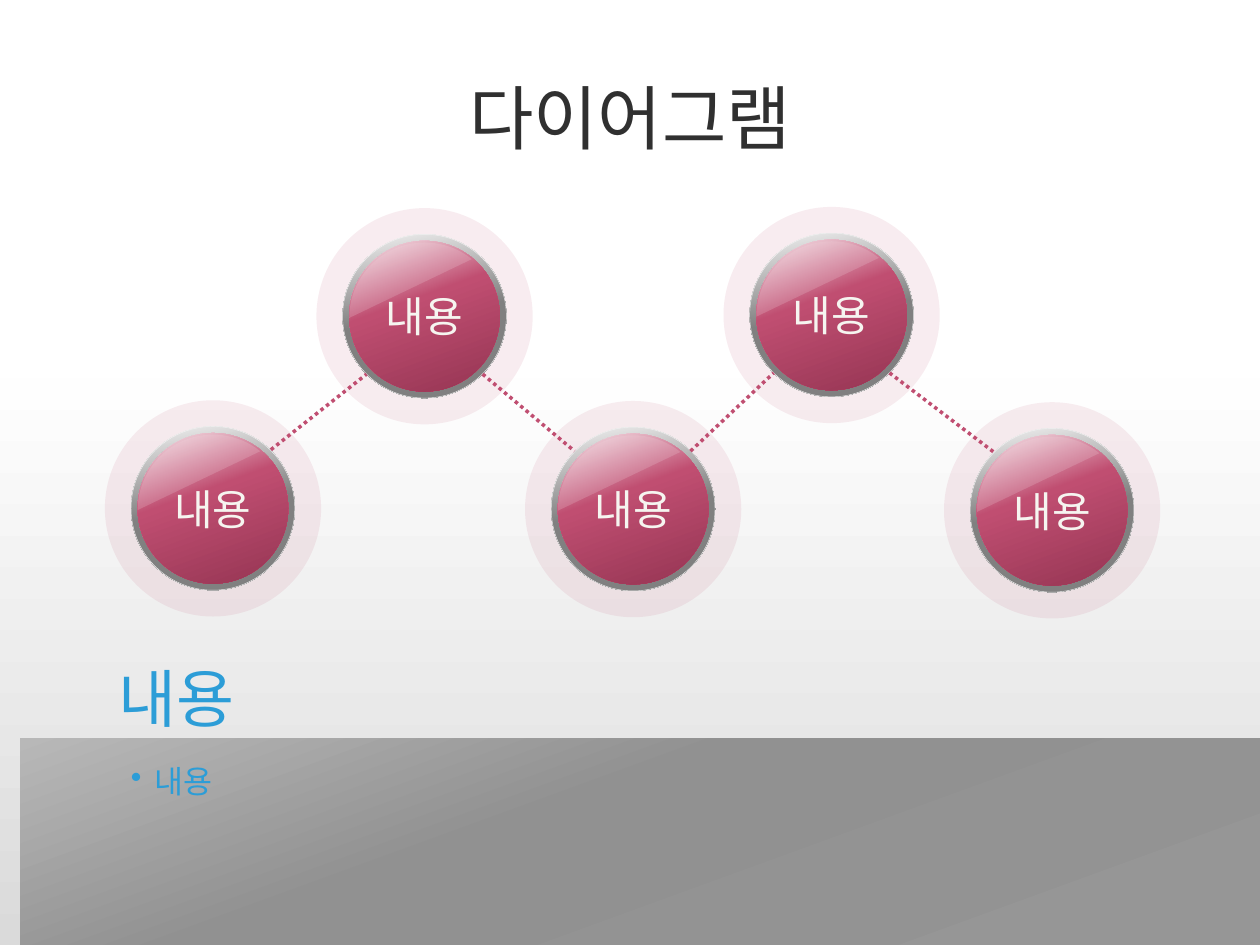
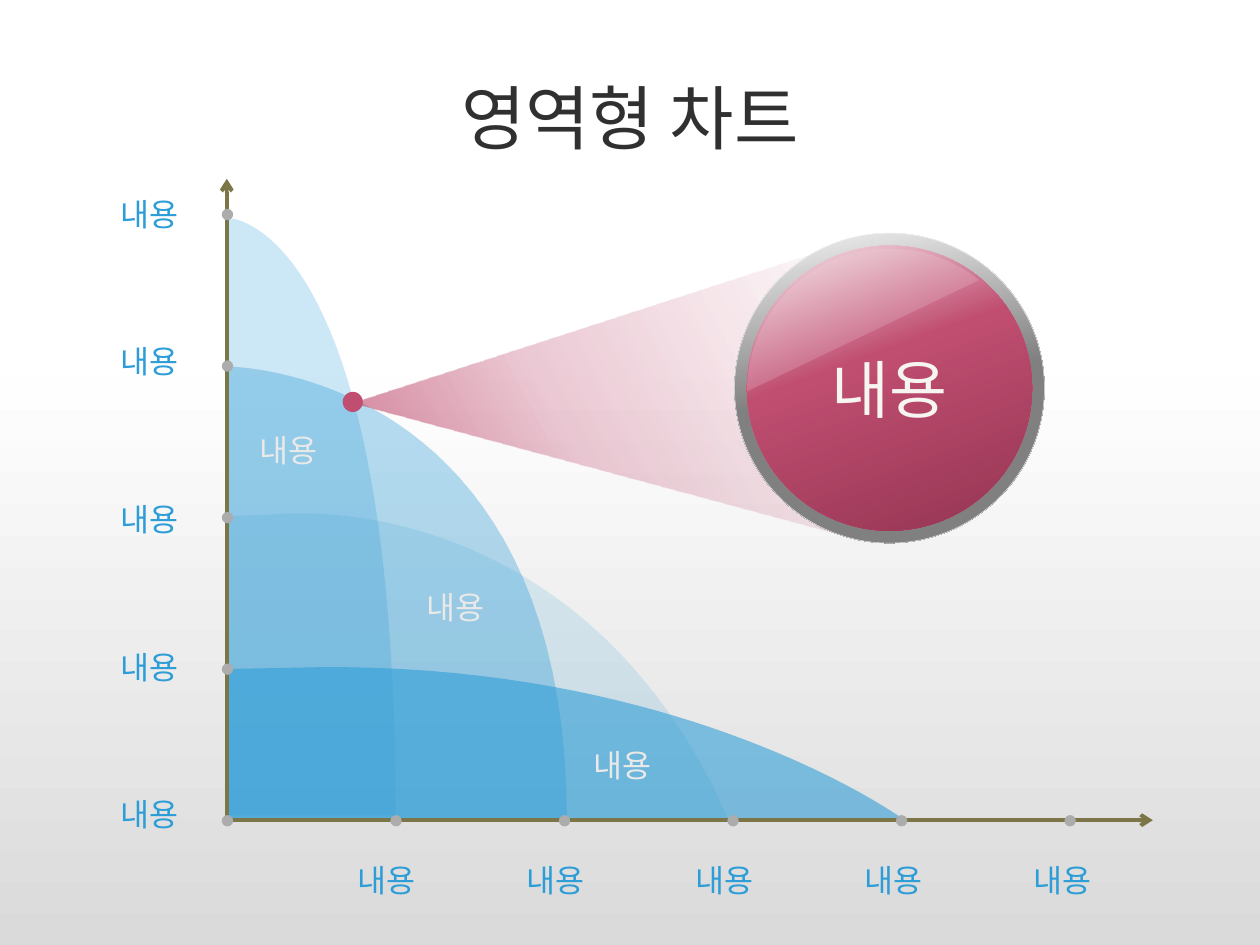
"""Build a linked-button diagram slide and a layered area chart slide."""
from dataclasses import dataclass

from lxml.etree import SubElement
from pptx import Presentation
from pptx.dml.color import RGBColor
from pptx.enum.dml import MSO_LINE
from pptx.enum.shapes import MSO_CONNECTOR, MSO_SHAPE
from pptx.enum.text import MSO_ANCHOR, PP_ALIGN
from pptx.oxml.ns import qn
from pptx.util import Pt


@dataclass(frozen=True)
class Theme:
    font: str = "Arial"
    title_size: int = 40
    heading_size: int = 36
    button_size: int = 24
    label_size: int = 18
    title: str = "303030"
    blue: str = "2C9DD7"
    rose: str = "C04E71"
    button_text: str = "F6F5F0"
    area_text: str = "E9E9E9"
    axis: str = "7B7548"
    dot: str = "ACACAC"
    rim_edge: str = "F2F2F2"
    gloss: str = "F2DCE3"
    backdrop: tuple = ((0, "FFFFFF", 100), (40, "FEFEFE", 100), (100, "DADADA", 100))
    panel: tuple = ((0, "B8B8B8", 100), (40, "919191", 100), (100, "969696", 100))
    rim: tuple = ((0, "F2F2F2", 100), (50, "808080", 100), (100, "808080", 100))
    face: tuple = ((0, "F9EDF1", 100), (40, "C04E71", 100), (100, "953553", 100))
    beam: tuple = ((0, "C04E71", 75), (40, "C04E71", 30), (100, "C04E71", 0))


theme = Theme()


def paint(target, fill, *stops, angle=0):
    if len(stops) == 1:
        fill.solid()
        fill.fore_color.rgb = RGBColor.from_string(stops[0][1])
        color = target.element.spPr.find(".//" + qn("a:srgbClr"))
        SubElement(color, qn("a:alpha"), val=str(stops[0][2] * 1000))
    else:
        fill.gradient()
        fill.gradient_angle = 360 - angle
        stop_list = target.element.find(".//" + qn("a:gsLst"))
        for stop in list(stop_list):
            stop_list.remove(stop)
        for position, color, opacity in stops:
            stop = SubElement(stop_list, qn("a:gs"), pos=str(position * 1000))
            color = SubElement(stop, qn("a:srgbClr"), val=color)
            SubElement(color, qn("a:alpha"), val=str(opacity * 1000))
    if hasattr(target, "line"):
        target.line.fill.background()
        target.shadow.inherit = False


def add_text(page, text, left, top, width, height, *, size, color, align=PP_ALIGN.LEFT,
             anchor=MSO_ANCHOR.TOP, wrap=True, inset=None, bullet=False):
    box = page.shapes.add_textbox(Pt(left), Pt(top), Pt(width), Pt(height))
    frame = box.text_frame
    frame.word_wrap = wrap
    frame.vertical_anchor = anchor
    if inset is not None:
        frame.margin_left = frame.margin_right = Pt(inset)
        frame.margin_top = frame.margin_bottom = Pt(inset)
    para = frame.paragraphs[0]
    para.alignment = align
    if bullet:
        properties = para._p.get_or_add_pPr()
        properties.set("marL", str(Pt(13.5)))
        properties.set("indent", str(-Pt(13.5)))
        SubElement(properties, qn("a:buChar"), char="•")
    span = para.add_run()
    span.text = text
    span.font.name = theme.font
    span.font.size = Pt(size)
    span.font.color.rgb = RGBColor.from_string(color)


deck = Presentation()
deck.slide_width, deck.slide_height = Pt(720), Pt(540)
pages = []
for title in ("다이어그램", "영역형 차트"):
    page = deck.slides.add_slide(deck.slide_layouts[6])
    paint(page, page.background.fill, *theme.backdrop, angle=90)
    add_text(page, title, 36, 21.6, 648, 90, size=theme.title_size, color=theme.title,
             align=PP_ALIGN.CENTER, anchor=MSO_ANCHOR.MIDDLE)
    pages.append(page)
diagram, chart = pages

panel = diagram.shapes.add_shape(MSO_SHAPE.RECTANGLE, Pt(11.5), Pt(422), Pt(708.5), Pt(118))
paint(panel, panel.fill, *theme.panel, angle=70)

axis_x, axis_y = 130, 469
areas = [
    (15, 295, (158.4, 293.8), (216, 289.5), (347, 311), (416.2, 468)),
    (35, 209.5, (130.3, 209.5), (130.3, 209.5), (324, 210), (324, 469)),
    (24, 124.6, (130.3, 124.6), (130.3, 124.6), (226.1, 125), (226.1, 466)),
    (58, 382.3, (165.6, 381.6), (389, 374.5), (517, 468.7), (517, 468.7)),
]
for opacity, left_top, *controls in areas:
    outline = [(axis_x, left_top)]
    for step in range(41):
        t = step / 40
        weights = ((1 - t) ** 3, 3 * t * (1 - t) ** 2, 3 * t * t * (1 - t), t ** 3)
        outline.append([sum(w * point[i] for w, point in zip(weights, controls))
                        for i in range(2)])
    builder = chart.shapes.build_freeform(Pt(axis_x), Pt(controls[-1][1]), scale=1.0)
    builder.add_line_segments([(Pt(x), Pt(y)) for x, y in outline])
    area = builder.convert_to_shape()
    paint(area, area.fill, (0, theme.blue, opacity))

builder = chart.shapes.build_freeform(Pt(201.6), Pt(230.4), scale=1.0)
builder.add_line_segments([(Pt(496.8), Pt(134.6)), (Pt(497.5), Pt(310.3))])
beam = builder.convert_to_shape()
paint(beam, beam.fill, *theme.beam, angle=332)

buttons = [
    (diagram, 242.6, 180.7, 93.6, theme.button_size),
    (diagram, 121.7, 290.5, 93.6, theme.button_size),
    (diagram, 475.2, 180, 93.6, theme.button_size),
    (diagram, 361.8, 290.9, 93.6, theme.button_size),
    (diagram, 601.2, 291.6, 93.6, theme.button_size),
    (chart, 508.3, 221.8, 177.1, theme.heading_size),
]
halo = (MSO_SHAPE.OVAL, 1.32, 0, ((0, theme.rose, 10),), 0)
layers = [
    (MSO_SHAPE.OVAL, 1, 0, theme.rim, 80),
    (MSO_SHAPE.OVAL, 0.92, 0, theme.face, 70),
    (MSO_SHAPE.CHORD, 0.92, 0.01, ((0, theme.gloss, 20),), 0),
]
for page, center_x, center_y, diameter, size in buttons:
    for kind, scale, drop, stops, angle in ([halo] if page is diagram else []) + layers:
        side = diameter * scale
        disc = page.shapes.add_shape(kind, Pt(center_x - side / 2),
                                     Pt(center_y - side / 2 + drop * diameter), Pt(side), Pt(side))
        paint(disc, disc.fill, *stops, angle=angle)
        if stops is theme.rim:
            disc.line.color.rgb = RGBColor.from_string(theme.rim_edge)
            disc.line.width = Pt(0.25)
        if kind == MSO_SHAPE.CHORD:
            disc.rotation = 90
            disc.adjustments[0], disc.adjustments[1] = 53.95, 131.3
    add_text(page, "내용", center_x - 42, center_y - 26, 84, 52, size=size,
             color=theme.button_text, align=PP_ALIGN.CENTER, anchor=MSO_ANCHOR.MIDDLE, wrap=False)

lines = [
    (diagram, 154.8, 257, 209.5, 213.8),
    (diagram, 275.8, 213.8, 328.3, 257.8),
    (diagram, 394.6, 257.8, 442.1, 213.1),
    (diagram, 508.3, 213.1, 568.1, 258.5),
    (chart, 129.6, 102.2, 129.6, 469.4),
    (chart, 658.8, 468.7, 131, 468.7),
]
for page, *ends in lines:
    line = page.shapes.add_connector(MSO_CONNECTOR.STRAIGHT, *[Pt(end) for end in ends])
    is_axis = page is chart
    line.line.color.rgb = RGBColor.from_string(theme.axis if is_axis else theme.rose)
    line.line.width = Pt(2.25 if is_axis else 2)
    if is_axis:
        SubElement(line.element.spPr.find(qn("a:ln")), qn("a:headEnd"), type="arrow")
    else:
        line.line.dash_style = MSO_LINE.ROUND_DOT
    SubElement(line.element.spPr, qn("a:effectLst"))

dots = [(axis_x, axis_y - 86.6 * i, 6.5, theme.dot) for i in range(5)]
dots += [(axis_x + 96.3 * i, axis_y, 6.5, theme.dot) for i in range(1, 6)]
dots.append((201.6, 229.7, 11.5, theme.rose))
for center_x, center_y, side, color in dots:
    dot = chart.shapes.add_shape(MSO_SHAPE.OVAL, Pt(center_x - side / 2), Pt(center_y - side / 2),
                                 Pt(side), Pt(side))
    paint(dot, dot.fill, (0, color, 100))

labels = [(141 + 95.5 * i, 242.6 + 90 * i, theme.area_text) for i in range(3)]
labels += [(62, top, theme.blue) for top in (108, 192.2, 282.2, 366.5, 450.7)]
labels += [(197.3 + 96.5 * i, 488.2, theme.blue) for i in range(5)]
for left, top, color in labels:
    add_text(chart, "내용", left, top, 50, 28.8, size=theme.label_size, color=color, wrap=False)

add_text(diagram, "내용", 67.7, 432, 573, 93.6, size=theme.label_size, color=theme.blue, bullet=True)
add_text(diagram, "내용", 67.7, 376.6, 584.6, 43.2, size=theme.heading_size, color=theme.blue,
         anchor=MSO_ANCHOR.BOTTOM, inset=0)

deck.save("out.pptx")
